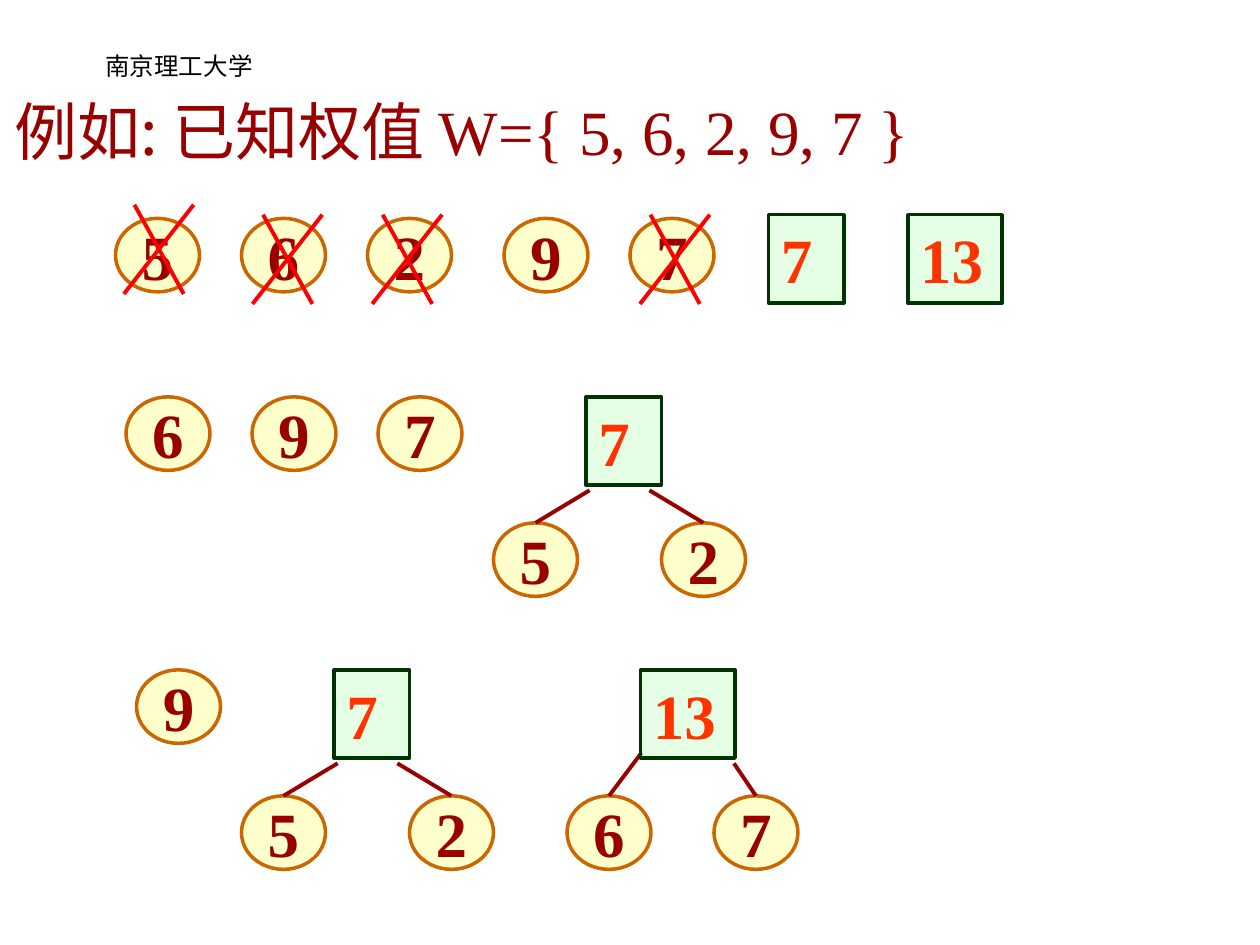
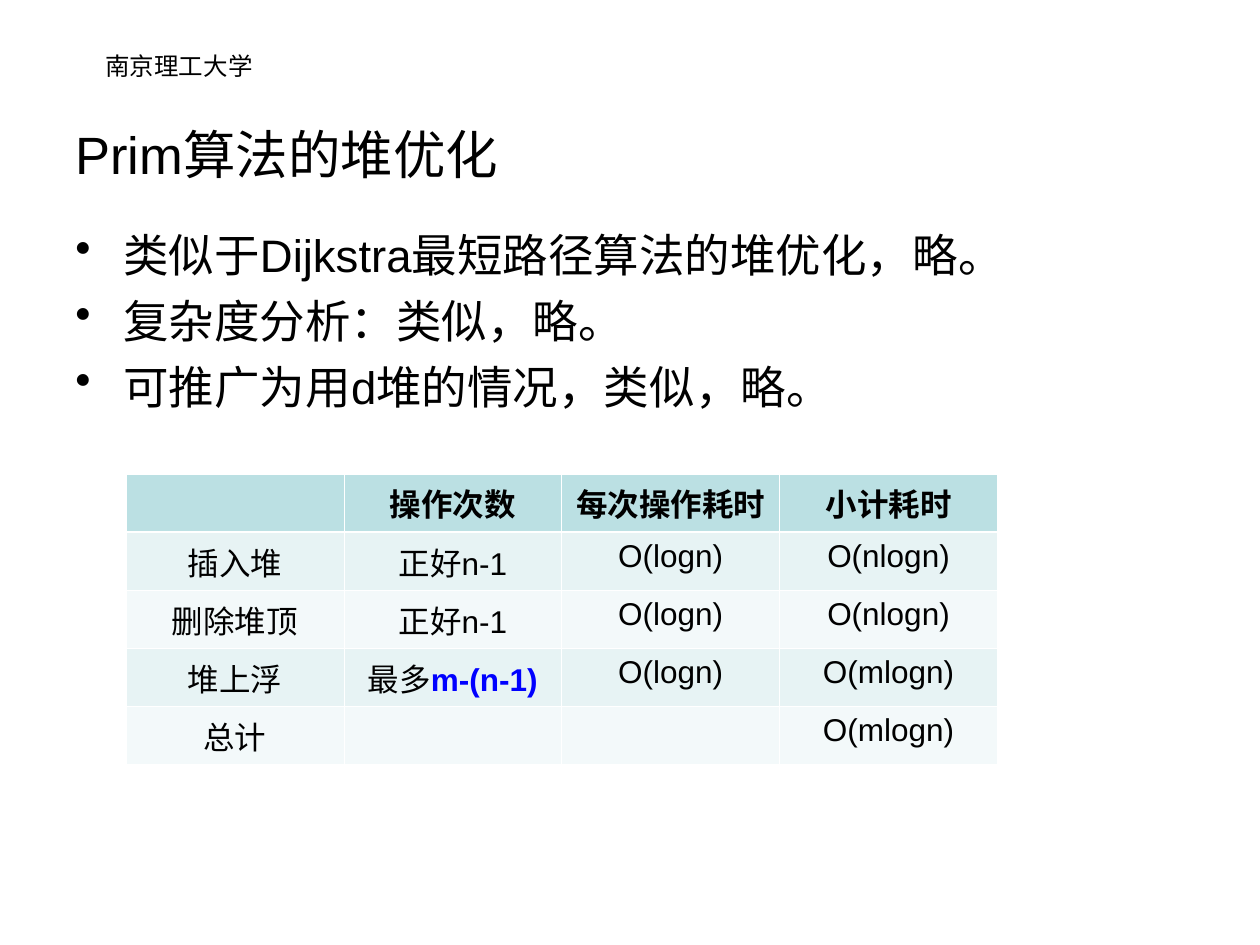
from lxml.etree import SubElement
from pptx import Presentation
from pptx.dml.color import RGBColor
from pptx.enum.shapes import MSO_CONNECTOR, MSO_SHAPE
from pptx.enum.text import MSO_ANCHOR, PP_ALIGN
from pptx.oxml.ns import qn
from pptx.util import Inches, Pt

WIDTH, HEIGHT = 10, 7.5
COLS = 120
UNIT = WIDTH / COLS
SANS, SERIF, CJK = "Arial", "Times New Roman", "Noto Sans CJK SC"
BLACK, WHITE, MAROON, RED, BLUE = "000000", "FFFFFF", "990000", "FF0000", "0000FF"
LEAF_W, LEAF_H = 8, 7
SUM_H = 8.4
SUM_W = {"7": 7.2, "13": 9}
HEADER_FILL, BAND_FILLS = "BBE0E3", ("E7F3F4", "F3F9FA")


def grid(*cells):
    """Turn grid columns and rows into lengths."""
    return [Inches(c * UNIT) for c in cells]


def rgb(color):
    """Turn a hex string into a colour."""
    return RGBColor.from_string(color)


def write(tf, paras, size=18, font=SANS, color=BLACK, bold=False, align=PP_ALIGN.LEFT,
          anchor=MSO_ANCHOR.TOP, wrap=True, bullet=False, before=0):
    """Fill a text frame; a paragraph is a string or a list of (text, overrides)."""
    tf.word_wrap, tf.vertical_anchor = wrap, anchor
    for i, para in enumerate(paras):
        p = tf.paragraphs[0] if i == 0 else tf.add_paragraph()
        p.alignment = align
        if i and before:
            p.space_before = Pt(before)
        if bullet:
            pPr = p._p.get_or_add_pPr()
            pPr.set("marL", str(Inches(0.38)))
            pPr.set("indent", str(-Inches(0.38)))
            SubElement(pPr, qn("a:buChar"), char="•")
        for text, changes in [(para, {})] if isinstance(para, str) else para:
            look = {"font": font, "color": color, "bold": bold, **changes}
            r = p.add_run()
            r.text = text
            r.font.size, r.font.name, r.font.bold = Pt(size), look["font"], look["bold"]
            r.font.color.rgb = rgb(look["color"])
            SubElement(r._r.get_or_add_rPr(), qn("a:ea"), typeface=CJK)


def add_text(s, box, paras, **look):
    """Add a text box at a grid box."""
    write(s.shapes.add_textbox(*grid(*box)).text_frame, paras, **look)


def add_node(s, kind, box, label, fill, line, **look):
    """Add a half transparent shape with a bold label."""
    sp = s.shapes.add_shape(kind, *grid(*box))
    sp.shadow.inherit = False
    sp.fill.solid()
    sp.fill.fore_color.rgb = rgb(fill)
    SubElement(sp.fill._xPr.find(".//" + qn("a:srgbClr")), qn("a:alpha"), val="50000")
    sp.line.color.rgb, sp.line.width = rgb(line), Pt(2)
    write(sp.text_frame, [label], size=36, font=SERIF, bold=True, **look)
    return sp


def add_leaf(s, x, y, label):
    """Add a weight as a round node."""
    return add_node(s, MSO_SHAPE.OVAL, (x, y, LEAF_W, LEAF_H), label, "FFFF99", "CC6600",
                    color=MAROON, align=PP_ALIGN.CENTER, anchor=MSO_ANCHOR.MIDDLE, wrap=False)


def add_sum(s, x, y, label):
    """Add a merged weight as a square node."""
    return add_node(s, MSO_SHAPE.RECTANGLE, (x, y, SUM_W[label], SUM_H), label,
                    "CCFFCC", "003300", color="FF3300")


def add_line(s, x1, y1, x2, y2, color):
    """Add a straight line between two grid points."""
    line = s.shapes.add_connector(MSO_CONNECTOR.STRAIGHT, *grid(x1, y1, x2, y2))
    line.line.color.rgb, line.line.width = rgb(color), Pt(2.25)
    SubElement(line._element.spPr, qn("a:effectLst"))
    return line


def add_tree(s, x, y, label, children):
    """Add a square root and leaves given as (label, offset, edge dx, edge dy)."""
    for name, offset, dx, dy in children:
        leaf = add_leaf(s, x + offset, y + 12, name)
        edge = add_line(s, x + dx, y + dy, x + offset + LEAF_W / 2, y + 12, MAROON)
        edge.end_connect(leaf, 0)
    add_sum(s, x, y, label)


def add_cross(s, x, y, w=6.65, h=8.5):
    """Strike out a used weight."""
    add_line(s, x + w, y, x, y + h, RED)
    add_line(s, x + 1, y, x + 5.7, y + h, RED)


def add_table(s, box, rows):
    """Add a banded table with white borders and equal columns."""
    table = s.shapes.add_table(len(rows), len(rows[0]), *grid(*box)).table
    for i, row in enumerate(rows):
        for j, para in enumerate(row):
            cell = table.cell(i, j)
            tcPr = cell._tc.get_or_add_tcPr()
            for side in "LRTB":
                thick = (i, side) in ((0, "B"), (1, "T"))
                ln = SubElement(tcPr, qn("a:ln" + side), w=str(Pt(1.47 if thick else 0.45)))
                SubElement(SubElement(ln, qn("a:solidFill")), qn("a:srgbClr"), val=WHITE)
            cell.fill.solid()
            cell.fill.fore_color.rgb = rgb(BAND_FILLS[(i - 1) % 2] if i else HEADER_FILL)
            if para:
                write(cell.text_frame, [para], bold=i == 0, align=PP_ALIGN.CENTER)


def add_slide(prs):
    """Add a blank slide with the school name."""
    s = prs.slides.add_slide(prs.slide_layouts[6])
    add_text(s, (-1.95, 4.3, 38, 6.2), ["南京理工大学"], size=14, align=PP_ALIGN.CENTER)
    return s


def build_weights_slide(prs):
    """Show the first merges of the weights."""
    s = add_slide(prs)
    add_text(s, (0.24, 8.25, 97.7, 8.4),
             [[("例如: 已知权值 ", {"font": CJK}), ("W={ 5, 6, 2, 9, 7 }", {})]],
             size=36, font=SERIF, color=MAROON)
    steps = [(20.8, zip((11, 23, 35, 48, 60), "56297")),
             (37.8, zip((12, 24, 36), "697")),
             (63.8, [(13, "9")])]
    for y, leaves in steps:
        for x, label in leaves:
            add_leaf(s, x, y, label)
    seven = [("5", -8.8, 0.35, 8.9), ("2", 7.2, 6.05, 8.9)]
    add_tree(s, 55.8, 37.8, "7", seven)
    add_tree(s, 31.8, 63.8, "7", seven)
    add_tree(s, 61, 63.8, "13", [("6", -7, 0.1, 7.9), ("7", 7, 8.9, 8.9)])
    for x, y in ((11.8, 19.5), (24.05, 20.45), (35.45, 20.45), (60.95, 20.45)):
        add_cross(s, x, y)
    add_sum(s, 73.2, 20.45, "7")
    add_sum(s, 86.45, 20.45, "13")


def build_heap_slide(prs):
    """Show the heap version of Prim and its costs."""
    s = add_slide(prs)
    add_text(s, (6, 7.1, 108, 15), ["Prim算法的堆优化"], size=30, anchor=MSO_ANCHOR.MIDDLE)
    add_text(s, (6, 21, 108, 59.4), [
        "类似于Dijkstra最短路径算法的堆优化，略。",
        "复杂度分析：类似，略。",
        "可推广为用d堆的情况，类似，略。",
    ], size=26, bullet=True, before=6.5)
    most = [("最多", {}), ("m-(n-1)", {"color": BLUE, "bold": True})]
    add_table(s, (12, 45.15, 83, 27.7), [
        ("", "操作次数", "每次操作耗时", "小计耗时"),
        ("插入堆", "正好n-1", "O(logn)", "O(nlogn)"),
        ("删除堆顶", "正好n-1", "O(logn)", "O(nlogn)"),
        ("堆上浮", most, "O(logn)", "O(mlogn)"),
        ("总计", "", "", "O(mlogn)"),
    ])


def main():
    """Build and save the slides."""
    prs = Presentation()
    prs.slide_width, prs.slide_height = Inches(WIDTH), Inches(HEIGHT)
    build_weights_slide(prs)
    build_heap_slide(prs)
    prs.save("out.pptx")


if __name__ == "__main__":
    main()
